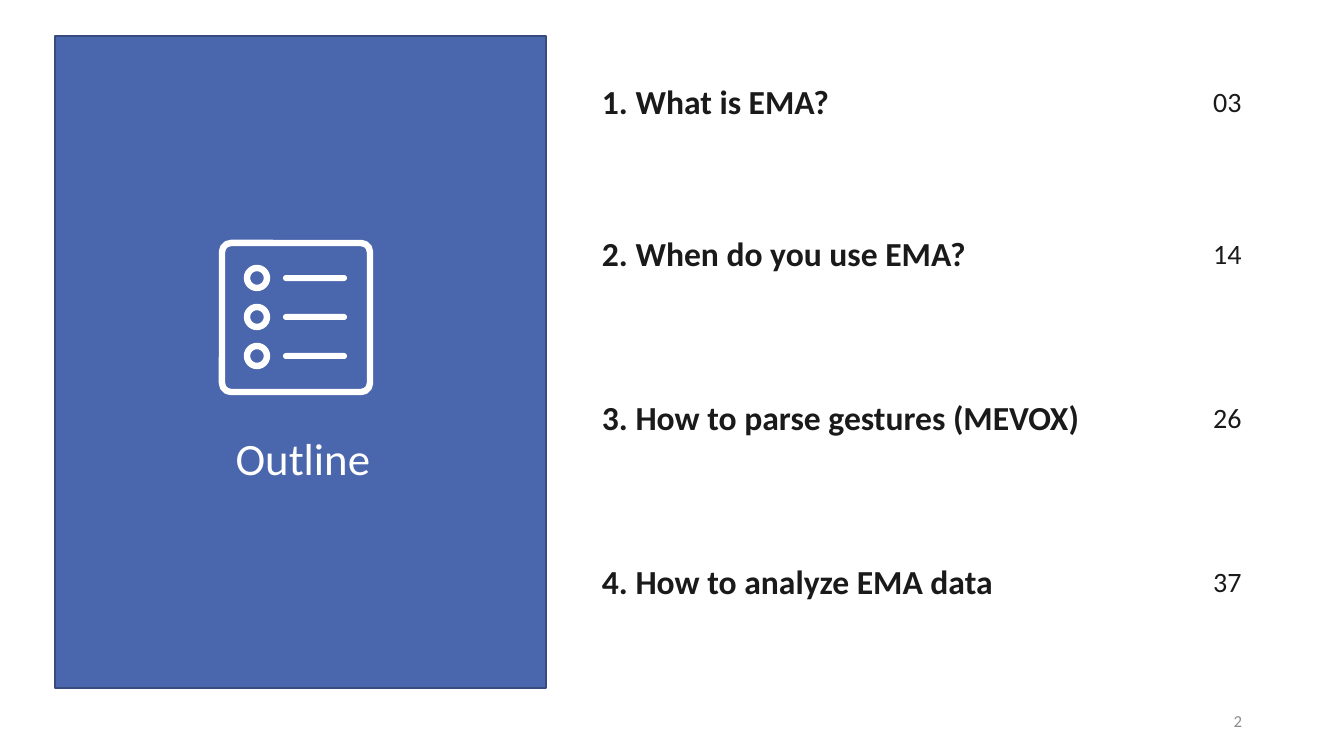
"""Build the outline slide: a blue panel with a list icon beside a table of contents."""
from pptx import Presentation
from pptx.dml.color import RGBColor
from pptx.enum.shapes import MSO_SHAPE as SHAPE
from pptx.enum.text import MSO_ANCHOR as ANCHOR, PP_ALIGN as ALIGN
from pptx.util import Emu, Pt

BLUE = RGBColor(0x4A, 0x66, 0xAC)
NAVY = RGBColor(0x37, 0x4B, 0x7F)
WHITE = RGBColor(0xFF, 0xFF, 0xFF)
INK = RGBColor(0x1A, 0x1A, 0x1A)
GRAY = RGBColor(0x8C, 0x8C, 0x8C)
SECTIONS = [
    ("1. What is EMA?", "03"),
    ("2. When do you use EMA?", "14"),
    ("3. How to parse gestures (MEVOX)", "26"),
    ("4. How to analyze EMA data", "37"),
]
COLUMN_WIDTHS = [588, 101]
ROW_HEIGHTS = [140, 164, 164, 164]
ICON_STROKE = Pt(4.6)
ICON_STEP = 39


def px(*lengths):
    return [Emu(round(length * 914400 / 100.8)) for length in lengths]


def style(paragraph, size, color, align, bold=False):
    paragraph.alignment = align
    for run in paragraph.runs:
        run.font.name = "Calibri"
        run.font.size = Pt(size)
        run.font.bold = bold
        run.font.color.rgb = color


presentation = Presentation()
presentation.slide_width, presentation.slide_height = px(1344, 756)
slide = presentation.slides.add_slide(presentation.slide_layouts[5])

panel = slide.shapes.add_shape(SHAPE.RECTANGLE, *px(55, 36, 491, 652))
panel.shadow.inherit = False
panel.fill.solid()
panel.fill.fore_color.rgb = BLUE
panel.line.color.rgb = NAVY
panel.line.width = Pt(1)

contents = slide.shapes.add_table(
    len(SECTIONS), 2, *px(589, 33, sum(COLUMN_WIDTHS), sum(ROW_HEIGHTS))
).table
contents.first_row = contents.horz_banding = False
for column, width in zip(contents.columns, px(*COLUMN_WIDTHS)):
    column.width = width
for row, height, texts in zip(contents.rows, px(*ROW_HEIGHTS), SECTIONS):
    row.height = height
    for cell, text, size, align, bold in zip(
        row.cells, texts, (24, 20), (ALIGN.LEFT, ALIGN.CENTER), (True, False)
    ):
        cell.fill.background()
        cell.vertical_anchor = ANCHOR.MIDDLE
        cell.margin_left, cell.margin_top, cell.margin_right, cell.margin_bottom = px(13, 13, 13, 13)
        cell.text_frame.text = text
        paragraph = cell.text_frame.paragraphs[0]
        paragraph.space_after = Pt(24)
        style(paragraph, size, INK, align, bold)

icon = slide.shapes.add_group_shape()
frame = icon.shapes.add_shape(SHAPE.ROUNDED_RECTANGLE, *px(222, 243, 148, 149))
frame.adjustments[0] = 0.06
outlines = [frame]
for item in range(3):
    offset = item * ICON_STEP
    outlines.append(icon.shapes.add_shape(SHAPE.OVAL, *px(247, 268 + offset, 20, 20)))
    bar = icon.shapes.add_shape(SHAPE.ROUNDED_RECTANGLE, *px(283, 275 + offset, 64, 6))
    bar.adjustments[0] = 0.5
    bar.shadow.inherit = False
    bar.fill.solid()
    bar.fill.fore_color.rgb = WHITE
    bar.line.fill.background()
for outline in outlines:
    outline.shadow.inherit = False
    outline.fill.background()
    outline.line.color.rgb = WHITE
    outline.line.width = ICON_STROKE

title = slide.shapes.title
title.element.getparent().append(title.element)
title.left, title.top, title.width, title.height = px(98, 431, 410, 54)
title_text = title.text_frame
title_text.margin_left = title_text.margin_top = title_text.margin_right = title_text.margin_bottom = 0
title_text.vertical_anchor = ANCHOR.MIDDLE
title_text.text = "Outline"
style(title_text.paragraphs[0], 32, WHITE, ALIGN.CENTER)

page_number = slide.shapes.add_textbox(*px(950, 701, 302, 40)).text_frame
page_number.word_wrap = True
page_number.vertical_anchor = ANCHOR.MIDDLE
page_number.text = "2"
style(page_number.paragraphs[0], 12, GRAY, ALIGN.RIGHT)

presentation.save("out.pptx")
